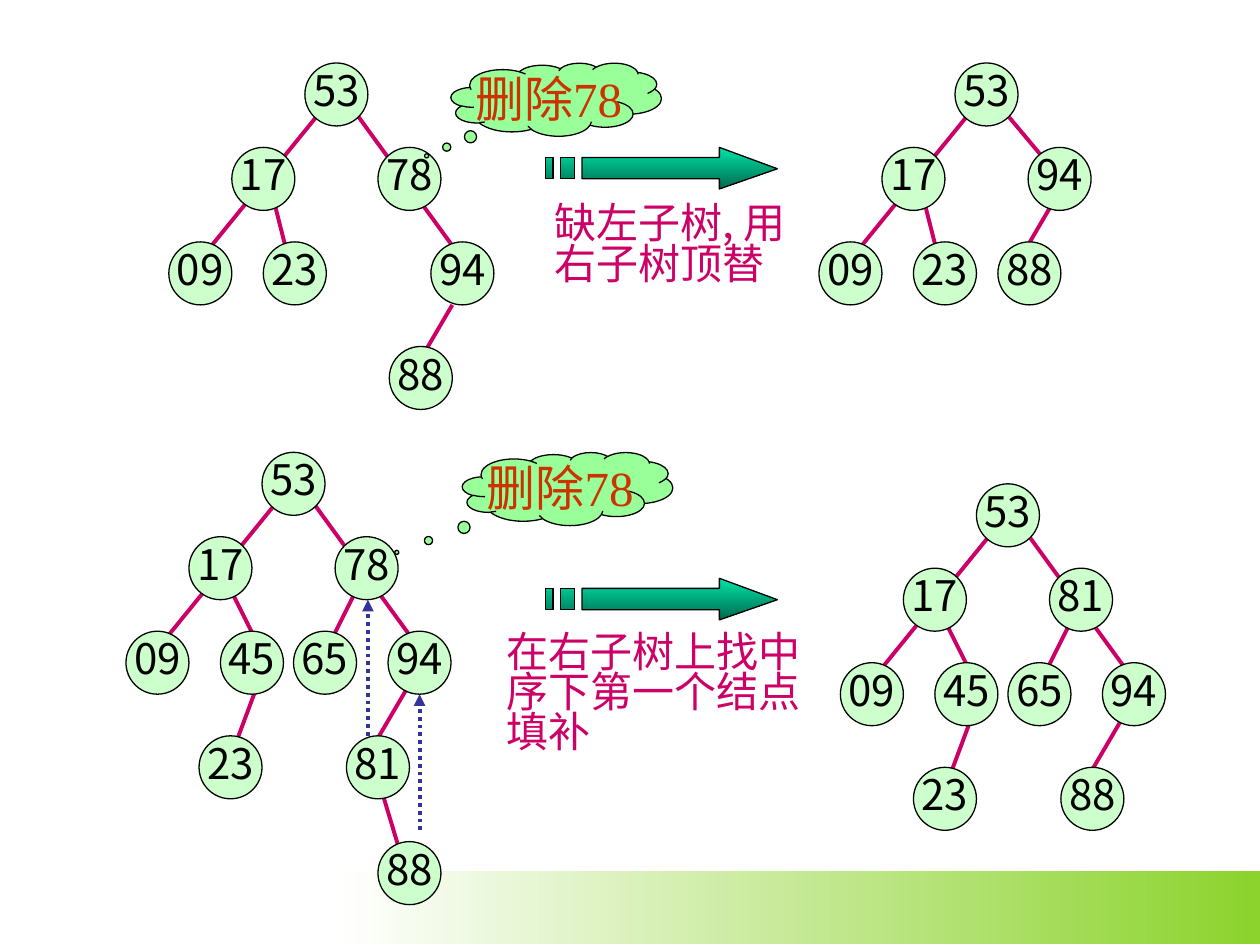
"""Build a slide on deleting a node from a binary search tree."""
from lxml.etree import SubElement
from pptx import Presentation
from pptx.dml.color import RGBColor
from pptx.enum.dml import MSO_LINE as Dash
from pptx.enum.shapes import MSO_CONNECTOR as Connector, MSO_SHAPE as Shape
from pptx.enum.text import MSO_ANCHOR as Anchor, MSO_AUTO_SIZE as AutoSize, PP_ALIGN as Align
from pptx.oxml.ns import qn
from pptx.util import Inches, Pt

SANS, SERIF = "Noto Sans CJK SC", "Times New Roman"
NODE_SIZE = 0.5

SLOTS = {
    "root": (0, 0), "left": (-0.58, 0.67), "right": (0.58, 0.67),
    "left-left": (-1.08, 1.42), "left-right": (-0.33, 1.42),
    "right-left": (0.25, 1.42), "right-left-wide": (0.34, 1.42), "right-right": (1, 1.42),
    "left-right-left": (-0.5, 2.25), "right-right-left": (0.67, 2.25),
    "right-right-left-right": (0.92, 3.09),
}
BRANCHES = {
    "left side": (0.17, 0.33, -0.92, 1.67),
    "right side": (0.42, 0.42, 1.33, 1.67),
    "right short": (0.42, 0.42, 0.84, 0.92),
    "left-right steep": (-0.25, 1.08, -0.08, 1.75),
    "left-right": (-0.25, 1.09, 0, 1.59),
    "left-right-left": (0, 1.75, -0.25, 2.42),
    "right-left": (0.75, 1.09, 0.5, 1.59),
    "right-left-wide": (0.84, 1, 0.5, 1.58),
    "right-right-left low": (1.17, 1.92, 0.83, 2.5),
    "right-right-left": (1.17, 1.84, 0.83, 2.42),
    "right-right-left-right": (0.92, 2.59, 1.17, 3.42),
}
FULL_BRANCHES = ["left side", "right side", "left-right", "left-right-left",
                 "right-left", "right-right-left"]
TREES = [
    ((2.42, 0.5),
     {"root": "53", "left": "17", "right": "78", "left-left": "09", "left-right": "23",
      "right-right": "94", "right-right-left": "88"},
     ["left side", "right side", "left-right steep", "right-right-left low"]),
    ((7.58, 0.5),
     {"root": "53", "left": "17", "right": "94", "left-left": "09", "left-right": "23",
      "right-left-wide": "88"},
     ["left side", "right short", "left-right steep", "right-left-wide"]),
    ((2.08, 3.59),
     {"root": "53", "left": "17", "right": "78", "left-left": "09", "left-right": "45",
      "right-left": "65", "right-right": "94", "left-right-left": "23",
      "right-right-left": "81", "right-right-left-right": "88"},
     FULL_BRANCHES + ["right-right-left-right"]),
    ((7.75, 3.84),
     {"root": "53", "left": "17", "right": "81", "left-left": "09", "left-right": "45",
      "right-left": "65", "right-right": "94", "left-right-left": "23",
      "right-right-left": "88"},
     FULL_BRANCHES),
]
STEPS = [
    ((3.58, 0.5), (-0.616, 0.771), 1.17, (4.3, 1.59, 2.04, 1.06),
     "缺左子树, 用右子树顶替", SANS),
    ((3.67, 3.59), (-0.812, 0.869), 4.59, (3.92, 4.99, 2.58, 1.06),
     "在右子树上找中序下第一个结点填补", SERIF),
]
MOVES = [(2.92, 5.84, 2.92, 4.76), (3.33, 6.59, 3.33, 5.51)]


def color(code):
    return RGBColor.from_string(code)


def write(frame, text, font=SANS, size=24, ink="000000", align=None, spacing=None):
    para = frame.paragraphs[0]
    para.alignment = align
    para.line_spacing = spacing
    span = para.add_run()
    span.text = text
    span.font.name = font
    span.font.size = Pt(size)
    span.font.color.rgb = color(ink)
    SubElement(span.font._element, qn("a:ea")).set("typeface", SANS)


class Painter:
    """Draw the tree diagram's elements on one slide in one style."""

    def __init__(self, page):
        self.shapes = page.shapes
        self.branch_ink, self.move_ink = "CC0066", "333399"
        self.node_fill, self.cloud_fill = "CCFFCC", "99FF99"
        self.outline = "000000"

    def finish(self, shape, fill=None, gradient=None, angle=0, outlined=True):
        shape.shadow.inherit = False
        if gradient:
            shape.fill.gradient()
            shape.fill.gradient_angle = angle
            for stop, code in zip(shape.fill.gradient_stops, gradient):
                stop.color.rgb = color(code)
        else:
            shape.fill.solid()
            shape.fill.fore_color.rgb = color(fill)
        if outlined:
            shape.line.color.rgb = color(self.outline)
            shape.line.width = Pt(0.75)
        else:
            shape.line.fill.background()

    def band(self, *bounds):
        shape = self.shapes.add_shape(Shape.RECTANGLE, *map(Inches, bounds))
        self.finish(shape, gradient=("FFFFFF", "8CD32D"), outlined=False)

    def line(self, ends, ink):
        link = self.shapes.add_connector(Connector.STRAIGHT, *map(Inches, ends))
        link.line.color.rgb = color(ink)
        link.line.width = Pt(2.25)
        SubElement(link._element.spPr, qn("a:effectLst"))
        return link

    def move(self, ends):
        link = self.line(ends, self.move_ink)
        link.line.dash_style = Dash.ROUND_DOT
        SubElement(link.line._get_or_add_ln(), qn("a:tailEnd")).set("type", "triangle")

    def label_shape(self, kind, bounds, fill, text, **style):
        shape = self.shapes.add_shape(kind, *map(Inches, bounds))
        self.finish(shape, fill)
        shape.text_frame.word_wrap = False
        shape.text_frame.vertical_anchor = Anchor.MIDDLE
        write(shape.text_frame, text, align=Align.CENTER, **style)
        return shape

    def tree(self, origin, nodes, branches):
        left, top = origin
        for name in branches:
            x1, y1, x2, y2 = BRANCHES[name]
            self.line((left + x1, top + y1, left + x2, top + y2), self.branch_ink)
        for slot, text in nodes.items():
            x, y = SLOTS[slot]
            self.label_shape(Shape.OVAL, (left + x, top + y, NODE_SIZE, NODE_SIZE),
                             self.node_fill, text, spacing=0.8)

    def cloud(self, corner, pointer, text):
        shape = self.label_shape(Shape.CLOUD_CALLOUT, (*corner, 1.67, 0.58), self.cloud_fill,
                                 text, font=SERIF, size=28, ink="CC3300")
        shape.adjustments[0], shape.adjustments[1] = pointer

    def striped_arrow(self, top):
        upper, middle, lower, bottom = top + 0.08, top + 0.17, top + 0.25, top + 0.33
        outlines = [[(5.71, top), (5.71, upper), (4.62, upper), (4.62, lower),
                     (5.71, lower), (5.71, bottom), (6.17, middle)]]
        for left, right in ((4.45, 4.56), (4.33, 4.39)):
            outlines.append([(left, upper), (left, lower), (right, lower), (right, upper)])
        outlines = [[(Inches(x), Inches(y)) for x, y in points] for points in outlines]
        builder = self.shapes.build_freeform(*outlines[0][0])
        for points in outlines:
            builder.move_to(*points[0])
            builder.add_line_segments(points[1:], close=True)
        self.finish(builder.convert_to_shape(), gradient=("00E4A8", "006A4E"), angle=270)

    def caption(self, bounds, text, font):
        box = self.shapes.add_textbox(*map(Inches, bounds))
        box.text_frame.word_wrap = True
        box.text_frame.auto_size = AutoSize.SHAPE_TO_FIT_TEXT
        write(box.text_frame, text, font=font, ink=self.branch_ink, spacing=0.8)


def main():
    deck = Presentation()
    deck.slide_width, deck.slide_height = Inches(10), Inches(7.5)
    painter = Painter(deck.slides.add_slide(deck.slide_layouts[6]))
    painter.band(2.67, 6.91, 7.33, 0.58)
    for origin, nodes, branches in TREES:
        painter.tree(origin, nodes, branches)
    for corner, pointer, arrow_top, bounds, text, font in STEPS:
        painter.cloud(corner, pointer, "删除78")
        painter.striped_arrow(arrow_top)
        painter.caption(bounds, text, font)
    for ends in MOVES:
        painter.move(ends)
    deck.save("out.pptx")


if __name__ == "__main__":
    main()
